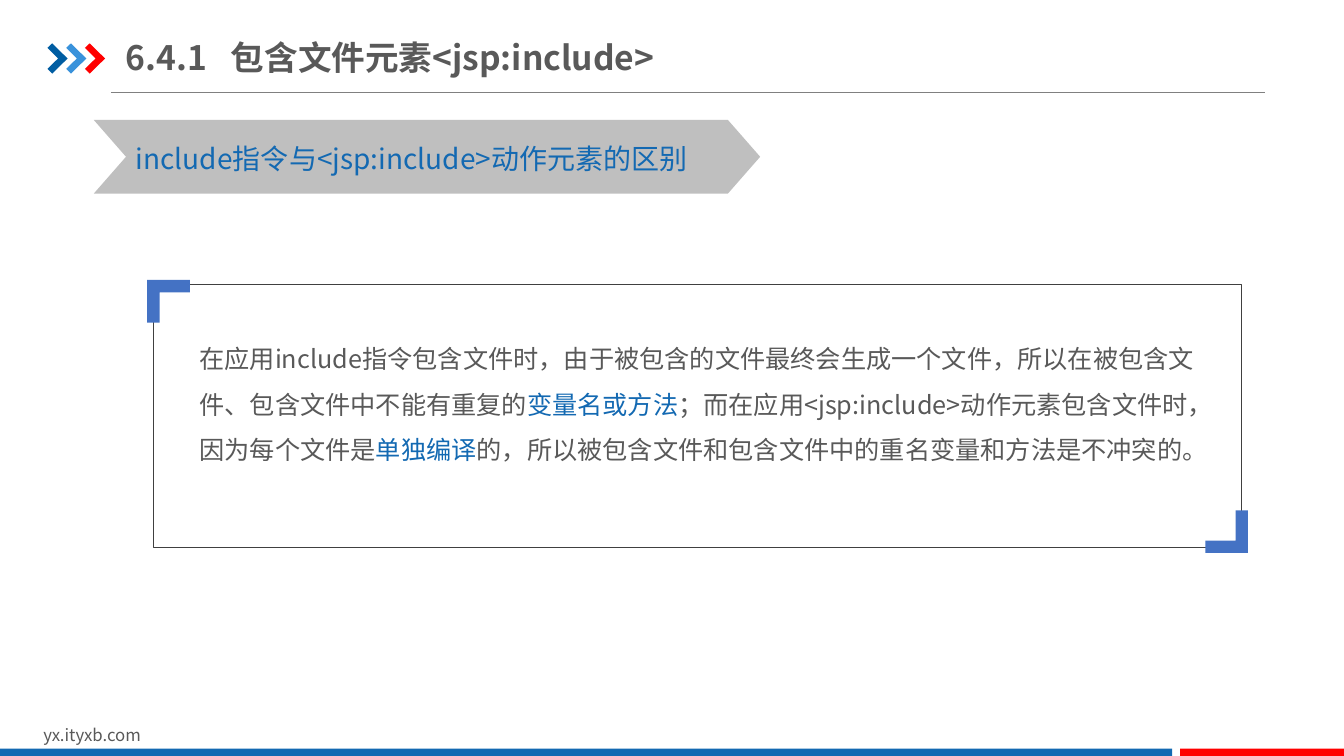
from lxml.etree import SubElement
from pptx import Presentation
from pptx.dml.color import RGBColor
from pptx.enum.shapes import MSO_CONNECTOR, MSO_SHAPE
from pptx.enum.text import MSO_ANCHOR
from pptx.oxml.ns import qn
from pptx.util import Pt

FONT = "Noto Sans CJK SC"
COLORS = {
    "text": "595959", "blue": "1369B2", "red": "FF0000", "rule": "808080",
    "dark blue": "005DA2", "light blue": "3992DB", "banner": "BFBFBF",
    "frame": "404040", "corner": "4472C4",
}

presentation = Presentation()
presentation.slide_width, presentation.slide_height = Pt(960), Pt(540)
slide = presentation.slides.add_slide(presentation.slide_layouts[6])
shapes = slide.shapes


def fill_plain(shape, color):
    """Fill a shape with one colour, without outline or shadow."""
    shape.shadow.inherit = False
    shape.fill.solid()
    shape.fill.fore_color.rgb = RGBColor.from_string(COLORS[color])
    shape.line.fill.background()


def add_text(box, runs, size, bold=False, tab=None):
    """Add a text box from (text, colour) runs, with an optional tab stop."""
    frame = shapes.add_textbox(*map(Pt, box)).text_frame
    frame.word_wrap = True
    paragraph = frame.paragraphs[0]
    if tab:
        stops = SubElement(paragraph._p.get_or_add_pPr(), qn("a:tabLst"))
        SubElement(stops, qn("a:tab"), pos=str(Pt(tab)), algn="l")
    paragraph.font.size = Pt(size)
    paragraph.font.bold = bold
    paragraph.font.name = FONT
    for text, color in runs:
        run = paragraph.add_run()
        run.text = text
        run.font.color.rgb = RGBColor.from_string(COLORS[color])
        SubElement(run.font._element, qn("a:ea"), typeface=FONT)
    return frame


# Header: rule, three arrows and title
rule = shapes.add_connector(MSO_CONNECTOR.STRAIGHT, Pt(79.2), Pt(65.8), Pt(903.6), Pt(65.8))
rule.line.color.rgb = RGBColor.from_string(COLORS["rule"])
rule.line.width = Pt(0.5)
SubElement(rule._element.spPr, qn("a:effectLst"))

arrow_points = [(0, 3.2), (3.4, 0), (14.4, 10.8), (3.4, 21.6), (0, 18.2), (7.6, 10.8)]
for index, color in enumerate(["dark blue", "light blue", "red"]):
    left, top = 33.9 + index * 13.4, 31
    points = [(Pt(left + x), Pt(top + y)) for x, y in arrow_points]
    builder = shapes.build_freeform(*points[0])
    builder.add_line_segments(points[1:])
    fill_plain(builder.convert_to_shape(), color)

title = add_text((90, 20.9, 427.7, 39.6), [("6.4.1\t包含文件元素<jsp:include>", "text")],
                 24, bold=True, tab=75)
title.margin_left = title.margin_right = 0
title.margin_top = title.margin_bottom = Pt(5)
title.vertical_anchor = MSO_ANCHOR.MIDDLE

# Banner
banner = shapes.add_shape(MSO_SHAPE.CHEVRON, Pt(67), Pt(85.7), Pt(476), Pt(52.6))
banner.adjustments[0] = 0.438
fill_plain(banner, "banner")
add_text((90, 97.2, 427.7, 31.7), [("include指令与<jsp:include>动作元素的区别", "blue")], 20)

# Framed explanation
frame_box = shapes.add_shape(MSO_SHAPE.RECTANGLE, Pt(109.4), Pt(203.2), Pt(776.9), Pt(188))
frame_box.shadow.inherit = False
frame_box.fill.background()
frame_box.line.color.rgb = RGBColor.from_string(COLORS["frame"])
frame_box.line.width = Pt(0.25)

explanation = add_text((135.4, 231.1, 725.8, 131), [
    ("在应用include指令包含文件时，由于被包含的文件最终会生成一个文件，"
     "所以在被包含文件、包含文件中不能有重复的", "text"),
    ("变量名或方法", "blue"),
    ("；而在应用<jsp:include>动作元素包含文件时，因为每个文件是", "text"),
    ("单独编译", "blue"),
    ("的，所以被包含文件和包含文件中的重名变量和方法是不冲突的。", "text"),
], 18)
explanation.paragraphs[0].line_spacing = 1.5

corner_points = [(0, 0), (30.4, 0), (30.4, 8.8), (8.8, 8.8), (8.8, 30.4), (0, 30.4)]
for corner_x, corner_y, direction in [(105.2, 200, 1), (891.4, 395, -1)]:
    points = [(Pt(corner_x + direction * x), Pt(corner_y + direction * y))
              for x, y in corner_points]
    builder = shapes.build_freeform(*points[0])
    builder.add_line_segments(points[1:])
    fill_plain(builder.convert_to_shape(), "corner")

# Footer
add_text((23.8, 514, 229, 21.6), [("yx.ityxb.com", "text")], 12)
for left, width, color in [(0, 837.2, "blue"), (843, 117, "red")]:
    bar = shapes.add_shape(MSO_SHAPE.RECTANGLE, Pt(left), Pt(534.8), Pt(width), Pt(5.2))
    fill_plain(bar, color)

presentation.save("out.pptx")
